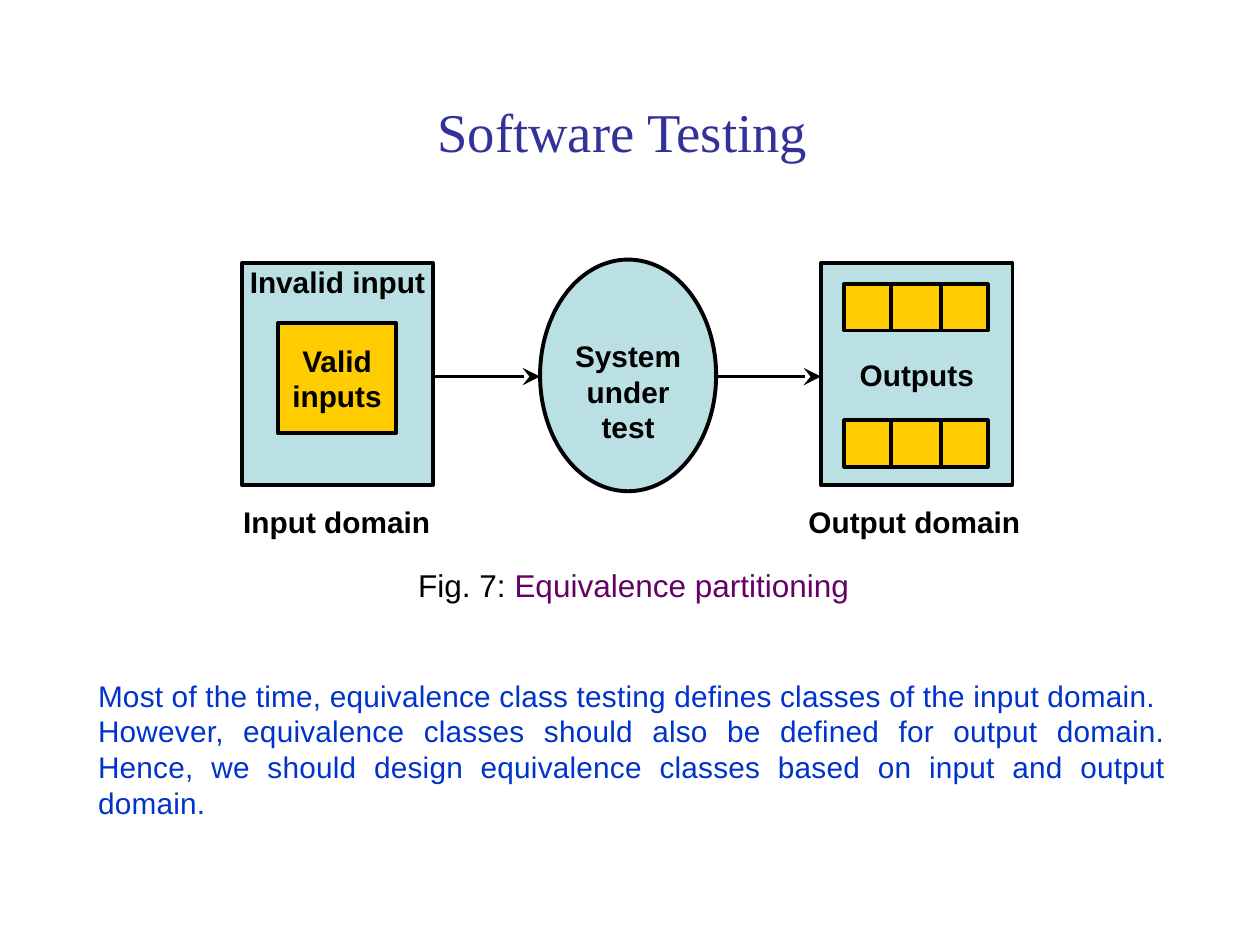
"""Build the equivalence partitioning slide."""

from dataclasses import dataclass

import pptx
import pptx.dml.color
import pptx.enum.shapes
import pptx.enum.text
import pptx.oxml
import pptx.oxml.ns
import pptx.util

Pt = pptx.util.Pt
RGBColor = pptx.dml.color.RGBColor
Align = pptx.enum.text.PP_ALIGN
Anchor = pptx.enum.text.MSO_ANCHOR
Preset = pptx.enum.shapes.MSO_SHAPE

BLACK = RGBColor(0x00, 0x00, 0x00)
PALE_BLUE = RGBColor(0xBA, 0xE0, 0xE3)
GOLD = RGBColor(0xFF, 0xCC, 0x00)
INDIGO = RGBColor(0x32, 0x32, 0x99)
PURPLE = RGBColor(0x65, 0x00, 0x65)
BLUE = RGBColor(0x00, 0x32, 0xCC)

DOMAIN_TOP, DOMAIN_WIDTH, DOMAIN_HEIGHT = 150.5, 109.4, 126.7
INPUT_LEFT, OUTPUT_LEFT = 138.2, 469.2
SYSTEM_LEFT, SYSTEM_WIDTH = 308.6, 100.6
ARROW_Y = 215.2
CELLS_LEFT, CELLS_WIDTH, CELLS_HEIGHT = 482.4, 82.1, 26.5
CELL_DIVIDERS = (509, 537.8)


@dataclass(frozen=True)
class Box:
    left: float
    top: float
    width: float
    height: float

    def lengths(self) -> tuple:
        return Pt(self.left), Pt(self.top), Pt(self.width), Pt(self.height)


def set_text(shape, *paragraphs, size=17, font="Arial", color=BLACK, bold=False,
             align=Align.LEFT, anchor=Anchor.TOP, top_inset=0, spacing=0):
    """Fill a shape with paragraphs, each a list of (text, color or None) runs."""
    frame = shape.text_frame
    frame.word_wrap = True
    frame.auto_size = pptx.enum.text.MSO_AUTO_SIZE.NONE
    frame.vertical_anchor = anchor
    frame.margin_left = frame.margin_right = frame.margin_bottom = 0
    frame.margin_top = Pt(top_inset)
    for index, runs in enumerate(paragraphs):
        paragraph = frame.add_paragraph() if index else frame.paragraphs[0]
        paragraph.alignment = align
        paragraph.line_spacing = 1.0
        paragraph.space_before = Pt(0)
        for text, run_color in runs:
            run = paragraph.add_run()
            run.text = text
            run.font.name = font
            run.font.size = Pt(size)
            run.font.bold = bold
            run.font.color.rgb = run_color or color
            if spacing:
                run.font._element.set("spc", str(round(spacing * 100)))


def add_label(slide, box: Box, *paragraphs, **text_format):
    set_text(slide.shapes.add_textbox(*box.lengths()), *paragraphs, **text_format)


def add_block(slide, box: Box, fill: RGBColor, preset=Preset.RECTANGLE):
    shape = slide.shapes.add_shape(preset, *box.lengths())
    shape.shadow.inherit = False
    shape.fill.solid()
    shape.fill.fore_color.rgb = fill
    shape.line.color.rgb = BLACK
    shape.line.width = Pt(2.25)
    return shape


def add_line(slide, start: tuple[float, float], end: tuple[float, float],
             width: float = 2.25, arrow: bool = False):
    connector = slide.shapes.add_connector(
        pptx.enum.shapes.MSO_CONNECTOR.STRAIGHT, *map(Pt, start + end))
    connector.line.color.rgb = BLACK
    connector.line.width = Pt(width)
    if arrow:
        head = pptx.oxml.parse_xml(
            f'<a:tailEnd {pptx.oxml.ns.nsdecls("a")} type="stealth" w="lg" len="lg"/>')
        connector.line._get_or_add_ln().append(head)
    connector._element.spPr.append(
        pptx.oxml.parse_xml(f'<a:effectLst {pptx.oxml.ns.nsdecls("a")}/>'))


def add_cells(slide, top: float):
    add_block(slide, Box(CELLS_LEFT, top, CELLS_WIDTH, CELLS_HEIGHT), GOLD)
    for x in CELL_DIVIDERS:
        add_line(slide, (x, top), (x, top + CELLS_HEIGHT))


def add_diagram(slide):
    centred = dict(bold=True, align=Align.CENTER)
    input_domain = add_block(
        slide, Box(INPUT_LEFT, DOMAIN_TOP, DOMAIN_WIDTH, DOMAIN_HEIGHT), PALE_BLUE)
    set_text(input_domain, [("Invalid input", None)], **centred)
    valid_inputs = add_block(slide, Box(159.1, 184.3, 67, 63.4), GOLD)
    set_text(valid_inputs, [("Valid inputs", None)], anchor=Anchor.MIDDLE, **centred)

    system = add_block(
        slide, Box(SYSTEM_LEFT, 148.3, SYSTEM_WIDTH, 132.4), PALE_BLUE, Preset.OVAL)
    set_text(system, [("System", None)], [("under test", None)],
             anchor=Anchor.MIDDLE, top_inset=18, **centred)

    output_domain = add_block(
        slide, Box(OUTPUT_LEFT, DOMAIN_TOP, DOMAIN_WIDTH, DOMAIN_HEIGHT), PALE_BLUE)
    set_text(output_domain, [("Outputs", None)], anchor=Anchor.MIDDLE, **centred)
    for top in (162.4, 240.2):
        add_cells(slide, top)

    for start, end in ((INPUT_LEFT + DOMAIN_WIDTH, SYSTEM_LEFT),
                       (SYSTEM_LEFT + SYSTEM_WIDTH, OUTPUT_LEFT)):
        add_line(slide, (start, ARROW_Y), (end, ARROW_Y), width=2, arrow=True)


def main():
    presentation = pptx.Presentation()
    presentation.slide_width, presentation.slide_height = Pt(720), Pt(540)
    slide = presentation.slides.add_slide(presentation.slide_layouts[5])

    title = slide.shapes.title
    title.left, title.top, title.width, title.height = Box(250, 55.8, 246, 37).lengths()
    set_text(title, [("Software Testing", None)],
             size=31.2, font="Times New Roman", color=INDIGO)

    add_diagram(slide)
    add_label(slide, Box(139, 288, 113, 20), [("Input domain", None)], bold=True)
    add_label(slide, Box(462, 288, 127, 20), [("Output domain", None)], bold=True)
    add_label(slide, Box(239, 323.7, 253, 21),
              [("Fig. 7: ", None), ("Equivalence partitioning", PURPLE)], size=18)
    add_label(
        slide, Box(56, 387, 610, 79),
        [("Most of the time, equivalence class testing defines classes of the "
          "input domain.", None)],
        [("However, equivalence classes should also be defined for output domain. "
          "Hence, we should design equivalence classes based on input and output "
          "domain.", None)],
        color=BLUE, align=Align.JUSTIFY, spacing=0.1)
    presentation.save("out.pptx")


if __name__ == "__main__":
    main()
